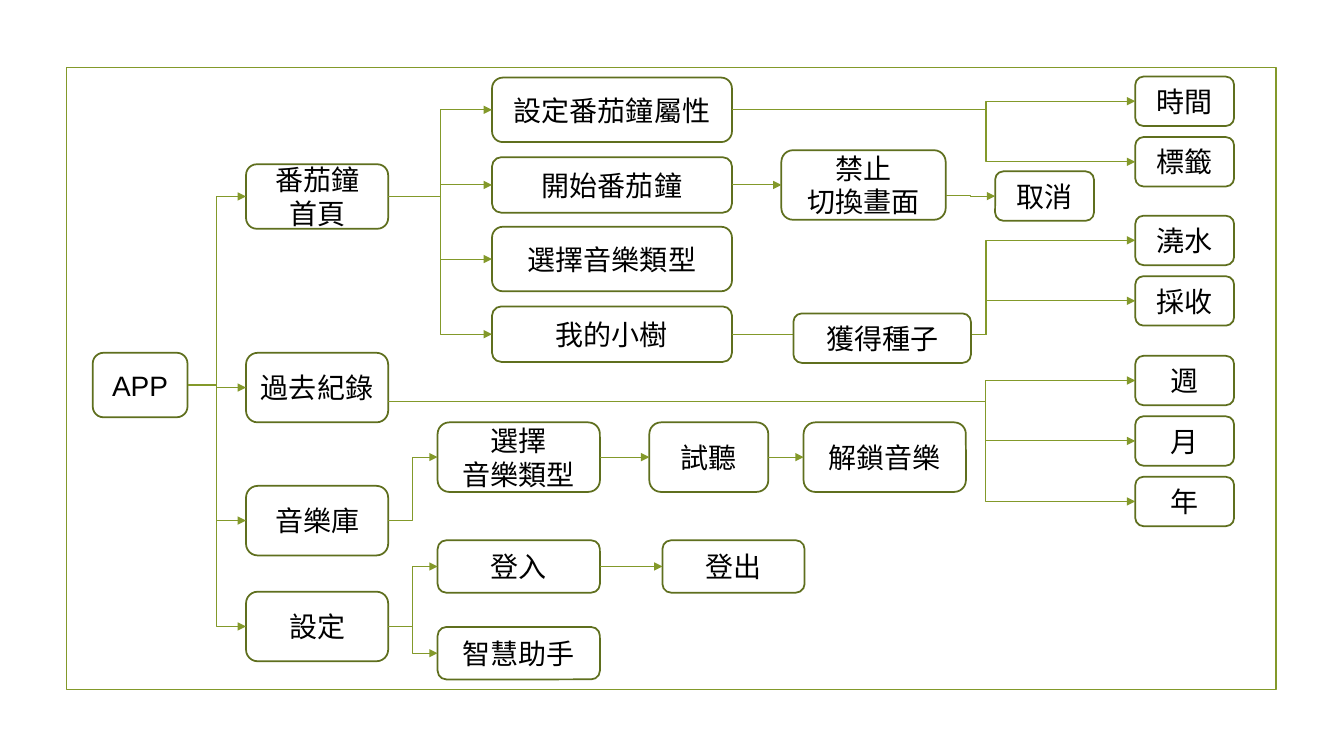
from lxml.etree import SubElement
from pptx import Presentation
from pptx.dml.color import RGBColor
from pptx.enum.shapes import MSO_CONNECTOR, MSO_SHAPE
from pptx.enum.text import MSO_ANCHOR, PP_ALIGN
from pptx.oxml.ns import qn
from pptx.util import Inches, Pt

COLORS = {"frame": "83992A", "edge": "5F6F1E", "text": "000000", "white": "FFFFFF"}
LEFT, RIGHT = 1, 3  # connection sites of a rounded rectangle
LEAF_X = 8.82  # leaf column, measured from the main menu column


def color(name):
    return RGBColor.from_string(COLORS[name])


def node(slide, text, x, y, w, h, fill=None):
    box = slide.shapes.add_shape(
        MSO_SHAPE.ROUNDED_RECTANGLE, Inches(x), Inches(y), Inches(w), Inches(h))
    box.shadow.inherit = False
    if fill:
        box.fill.solid()
        box.fill.fore_color.rgb = color(fill)
    else:
        box.fill.background()
    box.line.color.rgb = color("edge")
    box.line.width = Pt(1.25)
    frame = box.text_frame
    frame.word_wrap = True
    frame.vertical_anchor = MSO_ANCHOR.MIDDLE
    frame.text = text
    for para in frame.paragraphs:
        para.alignment = PP_ALIGN.CENTER
        para.font.size = Pt(20)
        para.font.name = "Arial"
        para.font.color.rgb = color("text")
    return box


def link(slide, start, end, bend=0.5, drop=None):
    """Join two nodes; drop moves the start down from the top of its node."""
    x = start.left + start.width
    y = start.top + (start.height // 2 if drop is None else Inches(drop))
    line = slide.shapes.add_connector(
        MSO_CONNECTOR.ELBOW, x, y, end.left, end.top + end.height // 2)
    if drop is None:
        line.begin_connect(start, RIGHT)
    line.end_connect(end, LEFT)
    line.line.color.rgb = color("frame")
    line.line.width = Pt(0.75)
    props = line._element.find(qn("p:spPr"))
    guides = props.find(qn("a:prstGeom")).find(qn("a:avLst"))
    SubElement(guides, qn("a:gd"), name="adj1", fmla=f"val {round(bend * 100000)}")
    SubElement(props.find(qn("a:ln")), qn("a:tailEnd"), type="triangle")
    SubElement(props, qn("a:effectLst"))


def leaves(slide, start, words, x, y, bend, drop=None):
    """Stack the last choices of a branch and join each to its start."""
    for row, word in enumerate(words):
        leaf = node(slide, word, x, y + row * 0.6, 0.98, 0.49)
        link(slide, start, leaf, bend, drop)


def home(slide, app, x, y):
    menu = node(slide, "番茄鐘\n首頁", x, y + 0.87, 1.41, 0.64)
    link(slide, app, menu)
    rows = [("設定番茄鐘屬性", 0.01, 0.64), ("開始番茄鐘", 0.8, 0.55),
            ("選擇音樂類型", 1.49, 0.64), ("我的小樹", 2.28, 0.55)]
    steps = [node(slide, word, x + 2.44, y + top, 2.38, high)
             for word, top, high in rows]
    for step in steps:
        link(slide, menu, step)
    setup, begin, _, tree = steps

    block = node(slide, "禁止\n切換畫面", x + 5.31, y + 0.73, 1.63, 0.69)
    cancel = node(slide, "取消", x + 7.43, y + 0.94, 0.98, 0.49)
    link(slide, begin, block)
    link(slide, block, cancel, drop=0.45)

    leaves(slide, setup, ["時間", "標籤"], x + LEAF_X, y, 0.63)
    leaves(slide, tree, ["澆水", "採收"], x + LEAF_X, y + 1.38, 0.63)
    node(slide, "獲得種子", x + 5.43, y + 2.35, 1.76, 0.49, "white")


def past(slide, app, x, y):
    menu = node(slide, "過去紀錄", x, y, 1.41, 0.69)
    link(slide, app, menu)
    leaves(slide, menu, ["週", "月", "年"], x + LEAF_X, y + 0.03, 0.8, 0.48)


def music(slide, app, x, y):
    menu = node(slide, "音樂庫", x, y + 0.63, 1.41, 0.69)
    link(slide, app, menu)
    last = menu
    for word, left, wide in [("選擇\n音樂類型", 1.9, 1.61), ("試聽", 4, 1.18),
                             ("解鎖音樂", 5.53, 1.61)]:
        step = node(slide, word, x + left, y, wide, 0.69)
        link(slide, last, step)
        last = step


def setting(slide, app, x, y):
    menu = node(slide, "設定", x, y + 0.51, 1.41, 0.69)
    enter = node(slide, "登入", x + 1.9, y, 1.61, 0.52)
    leave = node(slide, "登出", x + 4.13, y, 1.41, 0.52)
    helper = node(slide, "智慧助手", x + 1.9, y + 0.86, 1.61, 0.52)
    for start, end in [(app, menu), (menu, enter), (menu, helper), (enter, leave)]:
        link(slide, start, end)


def border(slide, x, y, w, h):
    box = slide.shapes.add_shape(
        MSO_SHAPE.RECTANGLE, Inches(x), Inches(y), Inches(w), Inches(h))
    box.shadow.inherit = False
    box.fill.background()
    box.line.color.rgb = color("frame")
    box.line.width = Pt(1.25)


def main():
    deck = Presentation()
    deck.slide_width = Inches(13.33)
    deck.slide_height = Inches(7.5)
    slide = deck.slides.add_slide(deck.slide_layouts[6])
    border(slide, 0.66, 0.67, 12, 6.17)
    app = node(slide, "APP", 0.92, 3.5, 0.94, 0.64)
    for branch, top in [(home, 0.76), (past, 3.5), (music, 4.19), (setting, 5.36)]:
        branch(slide, app, 2.44, top)
    deck.save("out.pptx")


if __name__ == "__main__":
    main()
